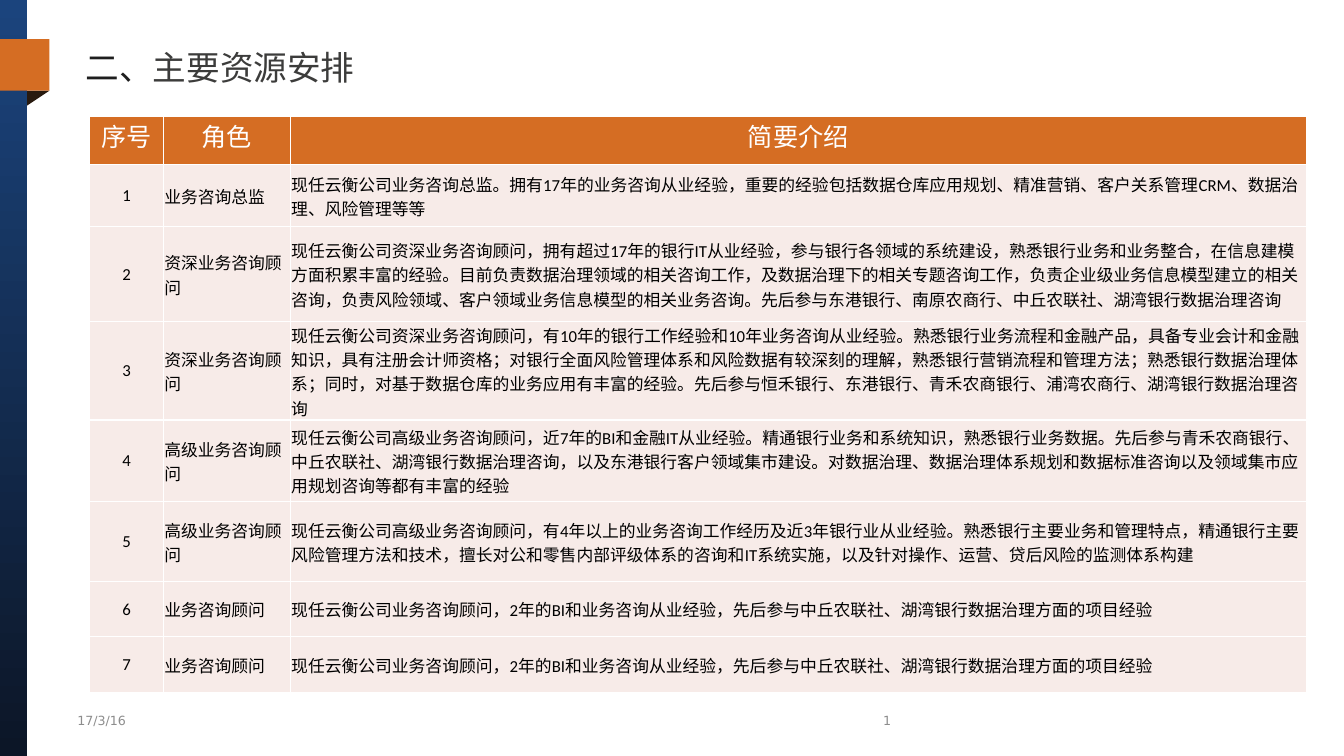
from dataclasses import dataclass

from lxml import etree
from pptx import Presentation
from pptx.dml.color import RGBColor
from pptx.enum import shapes, text
from pptx.oxml import ns
from pptx.util import Pt

COLORS = {
    "orange": "D56D23", "fold": "281A0F", "navy": "0C1627", "blue": "1B447D",
    "row": "F7EBE8", "white": "FFFFFF", "black": "000000", "grey": "8D8D8D",
    "number": "1E1E1E", "title": "3C3C3B",
}
CJK = "Noto Sans CJK SC"
SANS = "DejaVu Sans"
LEFT, CENTER, RIGHT = text.PP_ALIGN.LEFT, text.PP_ALIGN.CENTER, text.PP_ALIGN.RIGHT
TOP, MIDDLE = text.MSO_ANCHOR.TOP, text.MSO_ANCHOR.MIDDLE


@dataclass
class Block:
    kind: shapes.MSO_SHAPE
    box: tuple
    colors: tuple
    flip: bool = False


@dataclass
class Label:
    words: str
    box: tuple
    align: text.PP_ALIGN


@dataclass
class Member:
    role: str
    intro: str
    height: float


BLOCKS = [
    Block(shapes.MSO_SHAPE.RIGHT_TRIANGLE, (15.8, 64.8, 19.5, 13), ("fold",), True),
    Block(shapes.MSO_SHAPE.RECTANGLE, (0, 0, 19.5, 540), ("navy", "blue")),
    Block(shapes.MSO_SHAPE.RECTANGLE, (0, 28, 35.3, 36.8), ("orange",)),
]
LABELS = [
    Label("17/3/16", (48.2, 500.4, 111.6, 28.8), LEFT),
    Label("1", (499.7, 500.4, 144, 28.8), RIGHT),
]
HEADINGS = ("序号", "角色", "简要介绍")
HEADING_HEIGHT = 34.6
WIDTHS = (52.6, 90.7, 725.8)
JUNIOR = Member(
    "业务咨询顾问",
    "现任云衡公司业务咨询顾问，2年的BI和业务咨询从业经验，先后参与中丘农联社、湖湾银行数据治理方面的项目经验",
    39.6)
MEMBERS = [
    Member("业务咨询总监",
           "现任云衡公司业务咨询总监。拥有17年的业务咨询从业经验，重要的经验包括数据仓库应用规划、"
           "精准营销、客户关系管理CRM、数据治理、风险管理等等", 44.6),
    Member("资深业务咨询顾问",
           "现任云衡公司资深业务咨询顾问，拥有超过17年的银行IT从业经验，参与银行各领域的系统建设，"
           "熟悉银行业务和业务整合，在信息建模方面积累丰富的经验。目前负责数据治理领域的相关咨询工作，"
           "及数据治理下的相关专题咨询工作，负责企业级业务信息模型建立的相关咨询，负责风险领域、"
           "客户领域业务信息模型的相关业务咨询。先后参与东港银行、南原农商行、中丘农联社、湖湾银行数据治理咨询", 67.7),
    Member("资深业务咨询顾问",
           "现任云衡公司资深业务咨询顾问，有10年的银行工作经验和10年业务咨询从业经验。"
           "熟悉银行业务流程和金融产品，具备专业会计和金融知识，具有注册会计师资格；"
           "对银行全面风险管理体系和风险数据有较深刻的理解，熟悉银行营销流程和管理方法；"
           "熟悉银行数据治理体系；同时，对基于数据仓库的业务应用有丰富的经验。"
           "先后参与恒禾银行、东港银行、青禾农商银行、浦湾农商行、湖湾银行数据治理咨询", 67.7),
    Member("高级业务咨询顾问",
           "现任云衡公司高级业务咨询顾问，近7年的BI和金融IT从业经验。精通银行业务和系统知识，"
           "熟悉银行业务数据。先后参与青禾农商银行、中丘农联社、湖湾银行数据治理咨询，"
           "以及东港银行客户领域集市建设。对数据治理、数据治理体系规划和数据标准咨询"
           "以及领域集市应用规划咨询等都有丰富的经验", 58.3),
    Member("高级业务咨询顾问",
           "现任云衡公司高级业务咨询顾问，有4年以上的业务咨询工作经历及近3年银行业从业经验。"
           "熟悉银行主要业务和管理特点，精通银行主要风险管理方法和技术，"
           "擅长对公和零售内部评级体系的咨询和IT系统实施，以及针对操作、运营、贷后风险的监测体系构建", 56.9),
    JUNIOR,
    JUNIOR,
]


def rgb(name: str) -> RGBColor:
    return RGBColor.from_string(COLORS[name])


def pts(values: tuple) -> list:
    return [Pt(v) for v in values]


def set_font(font, name: str, size: float, color: str) -> None:
    font.name, font.size, font.bold = name, Pt(size), False
    font.color.rgb = rgb(color)


def draw_block(s, block: Block) -> None:
    sp = s.shapes.add_shape(block.kind, *pts(block.box))
    sp.shadow.inherit = False
    sp.line.fill.background()
    if len(block.colors) == 1:
        sp.fill.solid()
        sp.fill.fore_color.rgb = rgb(block.colors[0])
    else:
        sp.fill.gradient()
        sp.fill.gradient_angle = 90
        for stop, color in zip(sp.fill.gradient_stops, block.colors):
            stop.color.rgb = rgb(color)
    if block.flip:
        sp._element.spPr.find(ns.qn("a:xfrm")).set("flipV", "1")


def draw_title(s) -> None:
    sp = s.shapes.title
    sp.left, sp.top, sp.width, sp.height = pts((48.2, 31, 864, 33.8))
    tf = sp.text_frame
    tf.auto_size, tf.word_wrap = text.MSO_AUTO_SIZE.NONE, True
    tf.vertical_anchor = MIDDLE
    tf.margin_left, tf.margin_top, tf.margin_bottom = pts((13, 0, 0))
    p = tf.paragraphs[0]
    p.alignment = LEFT
    for words, font, color in (("二、", "Arial", "number"), ("主要资源安排", CJK, "title")):
        r = p.add_run()
        r.text = words
        set_font(r.font, font, 24, color)


def draw_label(s, label: Label) -> None:
    tf = s.shapes.add_textbox(*pts(label.box)).text_frame
    tf.word_wrap, tf.vertical_anchor = True, MIDDLE
    p = tf.paragraphs[0]
    p.text, p.alignment = label.words, label.align
    set_font(p.font, SANS, 9, "grey")


def add_borders(cell) -> None:
    tc_pr = cell._tc.get_or_add_tcPr()
    for i, side in enumerate(("lnL", "lnR", "lnT", "lnB")):
        ln = etree.Element(ns.qn(f"a:{side}"), w=str(Pt(1)))
        fill = etree.SubElement(ln, ns.qn("a:solidFill"))
        etree.SubElement(fill, ns.qn("a:srgbClr"), val=COLORS["white"])
        tc_pr.insert(i, ln)


def fill_cell(cell, words: str, header: bool, align: text.PP_ALIGN) -> None:
    cell.fill.solid()
    cell.fill.fore_color.rgb = rgb("orange" if header else "row")
    cell.margin_left, cell.margin_right, cell.margin_top, cell.margin_bottom = pts((0.7, 0.7, 0.7, 0))
    cell.vertical_anchor = TOP if header else MIDDLE
    p = cell.text_frame.paragraphs[0]
    p.text, p.alignment = words, align
    if header:
        set_font(p.font, SANS, 18, "white")
    else:
        set_font(p.font, "Calibri", 12, "black")
    add_borders(cell)


def draw_table(s) -> None:
    rows = [HEADINGS] + [(str(n), m.role, m.intro) for n, m in enumerate(MEMBERS, 1)]
    heights = [HEADING_HEIGHT] + [m.height for m in MEMBERS]
    box = (64.1, 82.8, sum(WIDTHS), sum(heights))
    table = s.shapes.add_table(len(rows), len(WIDTHS), *pts(box)).table
    table.first_row = table.horz_banding = False
    for column, width in zip(table.columns, WIDTHS):
        column.width = Pt(width)
    for i, (row, height) in enumerate(zip(rows, heights)):
        table.rows[i].height = Pt(height)
        for j, words in enumerate(row):
            fill_cell(table.cell(i, j), words, i == 0, CENTER if i == 0 or j == 0 else LEFT)


def main() -> None:
    prs = Presentation()
    prs.slide_width, prs.slide_height = Pt(960), Pt(540)
    s = prs.slides.add_slide(prs.slide_layouts[5])
    # Side band with folded ribbon
    for block in BLOCKS:
        draw_block(s, block)
    # Title and team table
    draw_title(s)
    draw_table(s)
    # Date and page number
    for label in LABELS:
        draw_label(s, label)
    prs.save("out.pptx")


if __name__ == "__main__":
    main()
